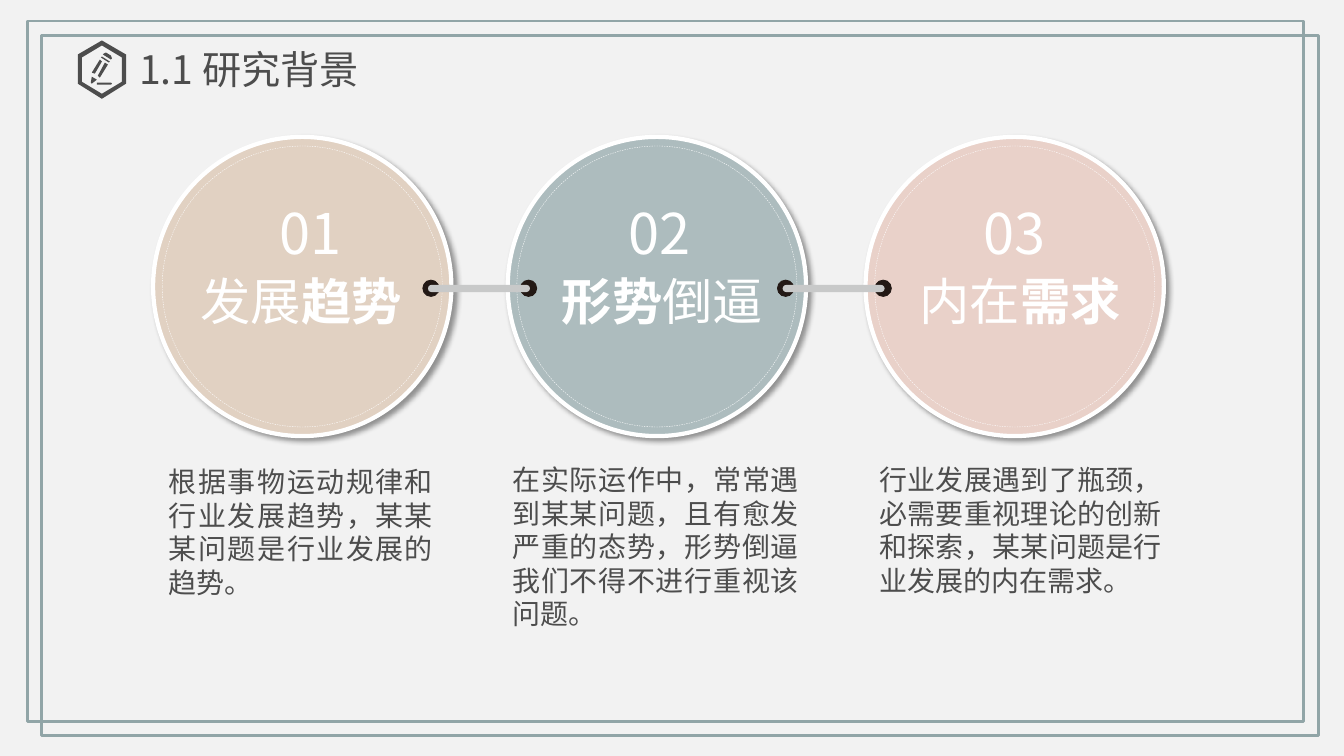
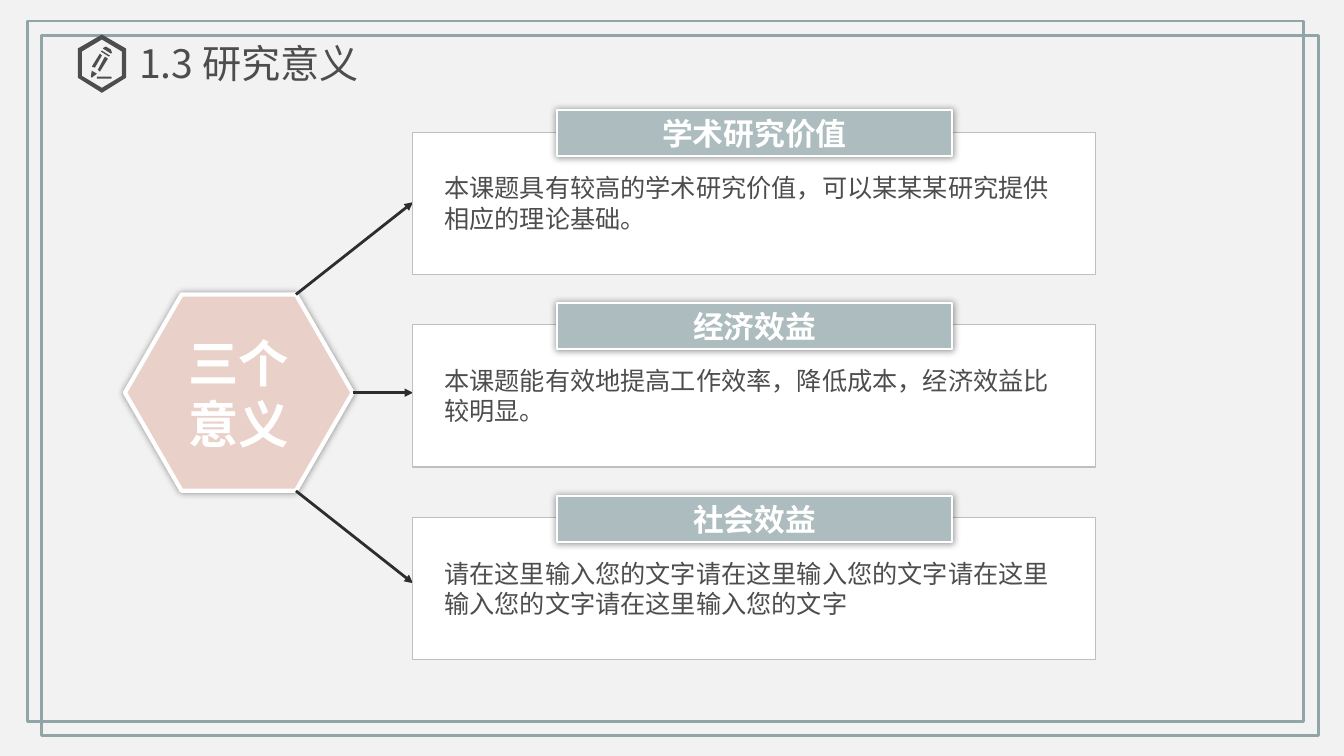
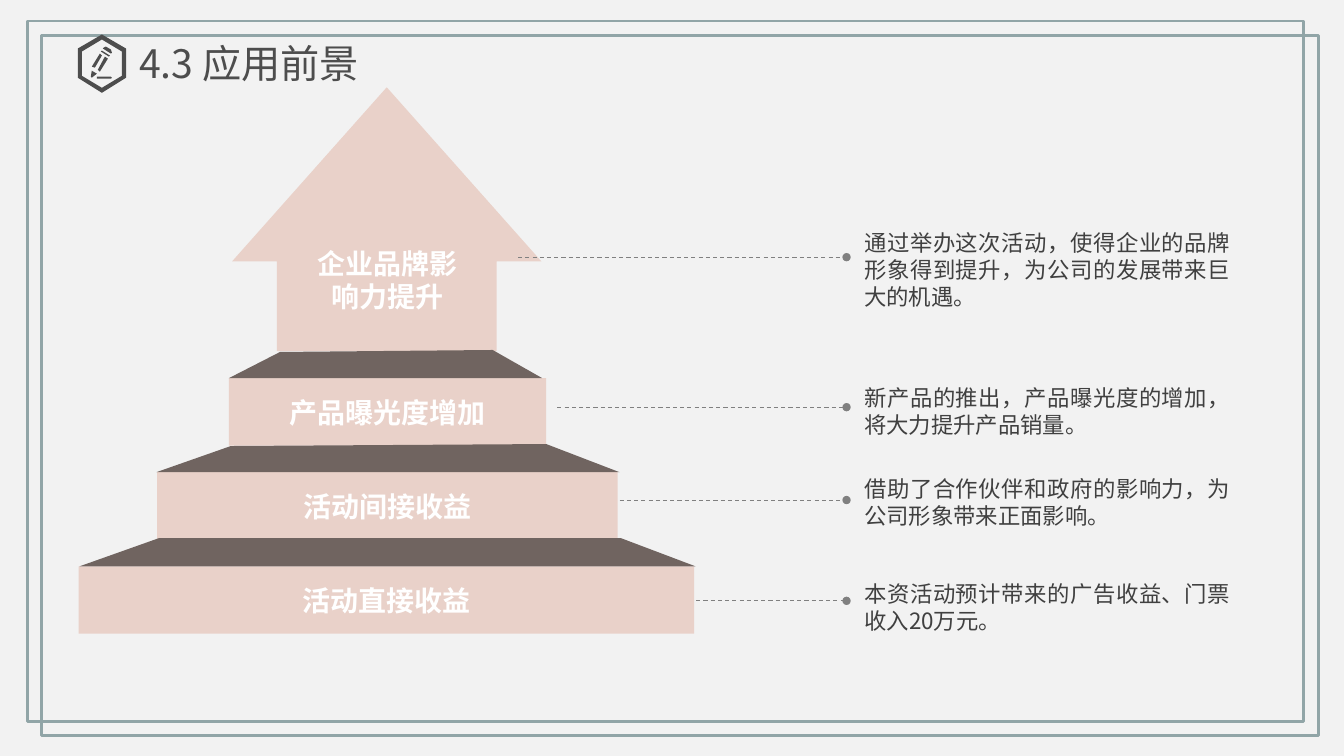
from dataclasses import dataclass

import lxml.etree
import pptx
import pptx.dml.color
import pptx.enum.dml
import pptx.enum.shapes
import pptx.enum.text
import pptx.oxml.ns
import pptx.util

Cm = pptx.util.Cm
Pt = pptx.util.Pt
qn = pptx.oxml.ns.qn
SHAPE = pptx.enum.shapes.MSO_SHAPE
ALIGN = pptx.enum.text.PP_ALIGN
ANCHOR = pptx.enum.text.MSO_ANCHOR


@dataclass(frozen=True)
class Theme:
    """Colours, font and type sizes shared by all slides."""
    font: str = "Noto Sans CJK SC"
    background: str = "F2F2F2"
    frame: str = "91A5A7"
    text: str = "4D4D4D"
    note: str = "404040"
    white: str = "FFFFFF"
    sand: str = "E1D1C2"
    teal: str = "ADBCBE"
    pink: str = "E9D1C9"
    brown: str = "706460"
    dot: str = "231915"
    bar: str = "C8C9C9"
    border: str = "BFBFBF"
    arrow: str = "2E2C2C"
    leader: str = "808080"
    number_size: int = 40
    large_size: int = 36
    title_size: int = 28
    header_size: int = 22
    body_size: int = 20
    card_size: int = 18
    note_size: int = 16
    line_pitch: float = 1.2


@dataclass(frozen=True)
class Box:
    """A rectangle in centimetres."""
    left: float
    top: float
    width: float
    height: float

    def inside(self, left, top, width, height):
        """Return a box placed relative to this one."""
        return Box(self.left + left, self.top + top, width, height)

    def lengths(self):
        """Return the four lengths that python-pptx expects."""
        return Cm(self.left), Cm(self.top), Cm(self.width), Cm(self.height)


THEME = Theme()


def rgb(colour):
    """Turn a hex string into a colour."""
    return pptx.dml.color.RGBColor.from_string(colour)


def write(frame, text, size, colour, bold=False, align=ALIGN.LEFT):
    """Write one paragraph; text is a string or a list of (text, bold) runs."""
    frame.word_wrap = True
    paragraph = frame.paragraphs[0]
    paragraph.alignment = align
    paragraph.line_spacing = Pt(size * THEME.line_pitch)
    font = paragraph.font
    font.name, font.size, font.bold = THEME.font, Pt(size), bold
    font.color.rgb = rgb(colour)
    defaults = paragraph._p.pPr.find(qn("a:defRPr"))
    lxml.etree.SubElement(defaults, qn("a:ea")).set("typeface", THEME.font)
    runs = [(text, None)] if isinstance(text, str) else text
    for words, run_bold in runs:
        run = paragraph.add_run()
        run.text = words
        run.font.bold = run_bold


def set_margins(frame, left=0, top=0, right=0, bottom=0):
    """Set the text margins in centimetres."""
    frame.margin_left, frame.margin_top = Cm(left), Cm(top)
    frame.margin_right, frame.margin_bottom = Cm(right), Cm(bottom)


def add_text(slide, box, *text_style, **options):
    """Add a text box."""
    text_box = slide.shapes.add_textbox(*box.lengths())
    write(text_box.text_frame, *text_style, **options)


def paint(shape, fill=None, line=None, weight=0):
    """Set fill and outline, and remove the default shadow."""
    shape.shadow.inherit = False
    if fill:
        shape.fill.solid()
        shape.fill.fore_color.rgb = rgb(fill)
    else:
        shape.fill.background()
    if line:
        shape.line.color.rgb = rgb(line)
        shape.line.width = Pt(weight)
    else:
        shape.line.fill.background()


def add_shape(slide, kind, box, fill=None, line=None, weight=0):
    """Add a painted preset shape."""
    shape = slide.shapes.add_shape(kind, *box.lengths())
    paint(shape, fill, line, weight)
    return shape


def add_outline(slide, contours, fill):
    """Add one filled freeform from closed contours given in EMU."""
    first, *others = contours
    builder = slide.shapes.build_freeform(*first[0], scale=1.0)
    builder.add_line_segments(first[1:], close=True)
    for contour in others:
        builder.move_to(*contour[0])
        builder.add_line_segments(contour[1:], close=True)
    paint(builder.convert_to_shape(), fill)


def cast_shadow(shape, blur, distance=0, angle=0):
    """Give a shape a soft black shadow; blur and distance are in points."""
    effects = shape.element.spPr.find(qn("a:effectLst"))
    shadow = lxml.etree.SubElement(effects, qn("a:outerShdw"), {
        "blurRad": str(Pt(blur)), "dist": str(Pt(distance)),
        "dir": str(angle * 60000), "algn": "ctr", "rotWithShape": "0"})
    colour = lxml.etree.SubElement(shadow, qn("a:srgbClr"), val="000000")
    lxml.etree.SubElement(colour, qn("a:alpha"), val="40000")


def add_line(slide, start, end, colour, weight, tail, dash=None):
    """Draw a straight line with an end mark."""
    connector = slide.shapes.add_connector(
        pptx.enum.shapes.MSO_CONNECTOR.STRAIGHT,
        *(Cm(value) for value in (*start, *end)))
    connector.line.color.rgb = rgb(colour)
    connector.line.width = Pt(weight)
    if dash:
        connector.line.dash_style = dash
    properties = connector.element.spPr
    lxml.etree.SubElement(properties.find(qn("a:ln")), qn("a:tailEnd"), type=tail)
    lxml.etree.SubElement(properties, qn("a:effectLst"))


def set_master(presentation, slide):
    """Put the background and the two offset frames on the slide master."""
    master = presentation.slide_master
    master.background.fill.solid()
    master.background.fill.fore_color.rgb = rgb(THEME.background)
    for shift in (0, 0.36):
        box = Box(0.69 + shift, 0.53 + shift, 32.18, 17.65)
        frame = add_shape(slide, SHAPE.RECTANGLE, box, None, THEME.frame, 2)
        master.shapes.element.append(frame.element)


ICON_UNITS = 58
ICON_CONTOURS = (
    ((24, 0), (48, 14), (48, 43), (24, 58), (0, 43), (0, 14)),
    ((24, 5), (44, 17), (44, 41), (24, 53), (4, 41), (4, 17)),
    ((19, 42), (33, 42), (34, 43), (33, 44), (19, 44)),
    ((20, 35), (27, 22), (30, 24), (22, 37)),
    ((14, 32), (22, 19), (24, 21), (17, 33)),
    ((13, 42), (14, 36), (19, 39), (14, 43)),
    ((24, 16), (23, 17), (31, 22), (32, 21)),
    ((26, 13), (28, 12), (33, 15), (34, 18), (33, 19), (25, 14)),
)


def add_pencil_icon(slide, box):
    """Draw the pencil in a hexagon ring."""
    left, top, _, height = box.lengths()
    unit = height / ICON_UNITS
    contours = [[(round(left + x * unit), round(top + y * unit)) for x, y in contour]
                for contour in ICON_CONTOURS]
    add_outline(slide, contours, THEME.text)


def add_heading(slide, box, text):
    """Place the title placeholder and its icon."""
    title = slide.shapes.title
    title.left, title.top, title.width, title.height = box.inside(
        1.55, 0.12, 10.13, 1.19).lengths()
    frame = title.text_frame
    frame.auto_size = pptx.enum.text.MSO_AUTO_SIZE.NONE
    frame.vertical_anchor = ANCHOR.TOP
    set_margins(frame)
    write(frame, text, THEME.title_size, THEME.text)
    add_pencil_icon(slide, box.inside(0, 0, 1.22, 1.47))


def add_disc(slide, box, colour, number, number_shift, name, name_shift):
    """Draw a ringed disc with its number and name."""
    disc = add_shape(slide, SHAPE.OVAL, box, colour, THEME.white, 3)
    cast_shadow(disc, 4, 3, 45)
    inset = 0.23
    ring_box = box.inside(inset, inset, box.width - 2 * inset, box.height - 2 * inset)
    ring = add_shape(slide, SHAPE.OVAL, ring_box, None, THEME.white, 0.25)
    ring.line.dash_style = pptx.enum.dml.MSO_LINE.DASH
    add_text(slide, box.inside(number_shift, 1.43, box.width, 1.96), number,
             THEME.number_size, THEME.white, align=ALIGN.CENTER)
    add_text(slide, box.inside(name_shift, 3.23, box.width, 1.8), name,
             THEME.large_size, THEME.white, align=ALIGN.CENTER)


def add_bridge(slide, box):
    """Draw two dots joined by a rounded bar."""
    size = box.height
    for x in (0, box.width - size):
        add_shape(slide, SHAPE.OVAL, box.inside(x, 0, size, size),
                  THEME.dot, THEME.dot, 0.63)
    bar = add_shape(slide, SHAPE.ROUNDED_RECTANGLE,
                    box.inside(0.13, 0.12, box.width - 0.3, 0.18), THEME.bar)
    bar.adjustments[0] = 0.5


def build_background_slide(slide):
    """Three linked discs, each with a paragraph below."""
    add_heading(slide, Box(1.96, 1.02, 11.68, 1.47), "1.1 研究背景")
    discs = (
        (3.86, THEME.sand, "01", 0.2, [("发展", False), ("趋势", True)], -0.03,
         Box(4.01, 11.58, 7.16, 3.68), "根据事物运动规律和行业发展趋势，某某某问题是行业发展的趋势。"),
        (12.8, THEME.teal, "02", 0.06, [("形势", True), ("倒逼", False)], 0.14,
         Box(12.67, 11.53, 7.72, 4.52),
         "在实际运作中，常常遇到某某问题，且有愈发严重的态势，形势倒逼我们不得不进行重视该问题。"),
        (21.82, THEME.pink, "03", 0, [("内在", False), ("需求", True)], 0.14,
         Box(21.92, 11.53, 7.62, 3.68),
         "行业发展遇到了瓶颈，必需要重视理论的创新和探索，某某问题是行业发展的内在需求。"),
    )
    for left, *disc, text_box, text in discs:
        add_disc(slide, Box(left, 3.45, 7.52, 7.54), *disc)
        add_text(slide, text_box, text, THEME.body_size, THEME.text, align=ALIGN.JUSTIFY)
    for left, *_ in discs[:-1]:
        add_bridge(slide, Box(left + 6.8, 7.06, 2.87, 0.41))


def add_card(slide, box, header, text):
    """Draw a white card with a header plate over its top edge."""
    card = add_shape(slide, SHAPE.RECTANGLE, box, THEME.white, THEME.border)
    card.text_frame.vertical_anchor = ANCHOR.TOP
    set_margins(card.text_frame, 0.79, 1.02, 0.9)
    write(card.text_frame, text, THEME.card_size, THEME.text)
    plate = add_shape(slide, SHAPE.RECTANGLE, box.inside(3.63, -0.56, 9.96, 1.17),
                      THEME.teal, THEME.white, 1.5)
    cast_shadow(plate, 5)
    write(plate.text_frame, header, THEME.header_size, THEME.white, True, ALIGN.CENTER)


def add_hub(slide, box, text, target_x):
    """Draw the hexagon and its three arrows to target_x."""
    middle = box.top + box.height / 2
    corner = 1.43
    corner_x = box.left + box.width - corner
    arrows = (((corner_x, box.top), middle - 4.8),
              ((box.left + box.width, middle), middle),
              ((corner_x, box.top + box.height), middle + 4.8))
    hexagon = add_shape(slide, SHAPE.HEXAGON, box, THEME.pink, THEME.white, 3)
    hexagon.adjustments[0] = corner / box.height
    cast_shadow(hexagon, 5)
    write(hexagon.text_frame, text, THEME.large_size, THEME.white, True, ALIGN.CENTER)
    for start, target_y in arrows:
        add_line(slide, start, (target_x, target_y), THEME.arrow, 0, "triangle")


def build_significance_slide(slide):
    """A hexagon pointing at three cards."""
    add_heading(slide, Box(1.96, 0.87, 11.68, 1.47), "1.3 研究意义")
    cards = (
        ("学术研究价值", "本课题具有较高的学术研究价值，可以某某某研究提供相应的理论基础。"),
        ("经济效益", "本课题能有效地提高工作效率，降低成本，经济效益比较明显。"),
        ("社会效益", "请在这里输入您的文字" * 4),
    )
    card_left = 10.41
    add_hub(slide, Box(3.15, 7.42, 5.74, 4.95), "三个意义", card_left)
    for index, (header, text) in enumerate(cards):
        add_card(slide, Box(card_left, 3.33 + index * 4.86, 17.2, 3.58), header, text)


def add_step(slide, box, label, lid, dip):
    """Draw a step and its lid; lid holds x of both left and both right corners."""
    step = add_shape(slide, SHAPE.RECTANGLE, box, THEME.pink)
    write(step.text_frame, label, THEME.body_size, THEME.white, True, ALIGN.CENTER)
    bottom_left, top_left, top_right, bottom_right = lid
    lid_top = box.top - 0.71
    corners = ((bottom_left, box.top), (top_left, lid_top + dip),
               (top_right, lid_top), (bottom_right, box.top))
    add_outline(slide, [[(Cm(x), Cm(y)) for x, y in corners]], THEME.brown)


def add_peak(slide, box, label):
    """Draw the arrow on top of the steps."""
    peak = add_shape(slide, SHAPE.UP_ARROW, box, THEME.pink)
    peak.adjustments[0], peak.adjustments[1] = 0.71, 0.66
    peak.text_frame.vertical_anchor = ANCHOR.BOTTOM
    set_margins(peak.text_frame, 0.85, 0, 0.8, 0.95)
    write(peak.text_frame, label, THEME.body_size, THEME.white, True, ALIGN.CENTER)


def add_callout(slide, box, line_start, line_y, text):
    """Write a note and lead a dashed line to it."""
    add_line(slide, (line_start, line_y), (box.left - 0.2, line_y), THEME.leader,
             0.75, "oval", pptx.enum.dml.MSO_LINE.DASH)
    add_text(slide, box, text, THEME.note_size, THEME.note, align=ALIGN.JUSTIFY)


def build_prospect_slide(slide):
    """A stepped arrow with a note for each level."""
    add_heading(slide, Box(1.96, 0.87, 11.68, 1.47), "4.3 应用前景")
    add_peak(slide, Box(5.85, 2.2, 7.8, 6.65), "企业品牌影响力提升")
    steps = (
        (5.77, 8.0, "产品曝光度增加", (5.77, 7.06, 12.42, 13.67), 0.05),
        (3.96, 11.61, "活动间接收益", (3.94, 5.82, 13.77, 15.62), 0.05),
        (1.98, 15.52, "活动直接收益", (2.01, 4.01, 15.65, 17.53), 0),
    )
    for index, (left, width, *step) in enumerate(steps):
        add_step(slide, Box(left, 9.53 + index * 2.37, width, 1.7), *step)
    callouts = (
        (5.66, 2.31, 13.06, 6.48, "通过举办这次活动，使得企业的品牌形象得到提升，为公司的发展带来巨大的机遇。"),
        (9.55, 1.63, 14.05, 10.26, "新产品的推出，产品曝光度的增加，将大力提升产品销量。"),
        (11.86, 1.63, 15.62, 12.6, "借助了合作伙伴和政府的影响力，为公司形象带来正面影响。"),
        (14.5, 1.63, 17.55, 15.14, "本资活动预计带来的广告收益、门票收入20万元。"),
    )
    for top, height, *callout in callouts:
        add_callout(slide, Box(21.54, top, 9.73, height), *callout)


def main():
    """Build and save the presentation."""
    presentation = pptx.Presentation()
    presentation.slide_width, presentation.slide_height = Cm(33.88), Cm(19.05)
    title_only = presentation.slide_layouts[5]
    builders = (build_background_slide, build_significance_slide, build_prospect_slide)
    for index, build in enumerate(builders):
        slide = presentation.slides.add_slide(title_only)
        if index == 0:
            set_master(presentation, slide)
        build(slide)
    presentation.save("out.pptx")


main()
